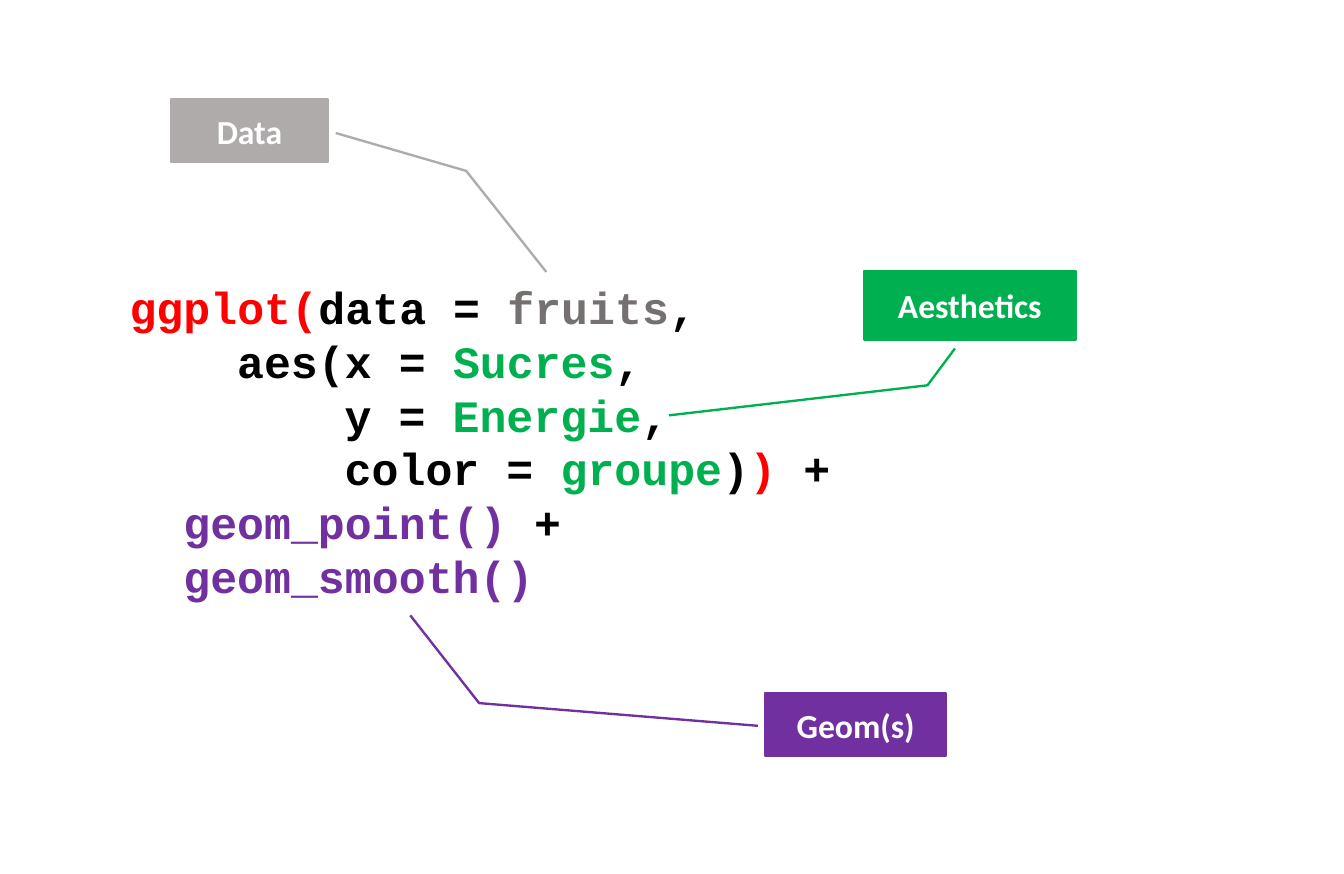
"""Build a slide that labels the data, aesthetics and geoms of a ggplot call."""
from dataclasses import dataclass

import pptx
import pptx.dml.color
import pptx.enum.shapes
import pptx.enum.text
import pptx.slide
import pptx.text.text
import pptx.util

SLIDE_WIDTH = pptx.util.Inches(7.87)
SLIDE_HEIGHT = pptx.util.Inches(5.12)
COLUMN = SLIDE_WIDTH / 100
ROW = SLIDE_HEIGHT / 100
CODE_SIZE = pptx.util.Pt(18.9)
LABEL_SIZE = pptx.util.Pt(14.2)
CHARACTER = CODE_SIZE * 0.6

COLORS = {
    "call": "FF0000",
    "plain": "000000",
    "fruits": "767171",
    "data": "AFABAB",
    "aesthetics": "00B050",
    "geoms": "7030A0",
    "label": "FFFFFF",
}


@dataclass(frozen=True)
class Area:
    column: float
    row: float
    columns: float
    rows: float

    def box(self) -> tuple[int, int, int, int]:
        return (round(self.column * COLUMN), round(self.row * ROW),
                round(self.columns * COLUMN), round(self.rows * ROW))


@dataclass(frozen=True)
class CodeLine:
    indent: int
    pieces: tuple[tuple[str, str], ...]


@dataclass(frozen=True)
class Callout:
    label: str
    color: str
    area: Area
    leader: tuple[tuple[float, float], ...]


CODE_AREA = Area(8.39, 31.05, 86.53, 39.26)
CODE = (
    CodeLine(0, (("ggplot(", "call"), ("data = ", "plain"),
                 ("fruits", "fruits"), (",", "plain"))),
    CodeLine(4, (("aes(x = ", "plain"), ("Sucres", "aesthetics"), (",", "plain"))),
    CodeLine(8, (("y = ", "plain"), ("Energie", "aesthetics"), (",", "plain"))),
    CodeLine(8, (("color = ", "plain"), ("groupe", "aesthetics"), (")", "plain"),
                 (")", "call"), (" +", "plain"))),
    CodeLine(2, (("geom_point() ", "geoms"), ("+", "plain"))),
    CodeLine(2, (("geom_smooth()", "geoms"),)),
)

CALLOUTS = (
    Callout("Data", "data", Area(12.71, 11.33, 11.69, 7.23),
            ((0.54, 1.05), (1.14, 1.88), (2.74, 2.39))),
    Callout("Aesthetics", "aesthetics", Area(64.29, 31.05, 15.76, 7.81),
            ((1.13, 0.43), (1.67, 0.3), (2.11, -0.92))),
    Callout("Geom(s)", "geoms", Area(56.93, 79.3, 13.47, 7.23),
            ((0.52, -0.04), (0.16, -1.58), (-1.23, -1.96))),
)


def rgb(color: str) -> pptx.dml.color.RGBColor:
    return pptx.dml.color.RGBColor.from_string(COLORS[color])


def style(font: pptx.text.text.Font, name: str, size: int, color: str) -> None:
    font.name = name
    font.size = size
    font.bold = True
    font.color.rgb = rgb(color)


def draw_code(slide: pptx.slide.Slide) -> None:
    code = slide.shapes.add_textbox(*CODE_AREA.box()).text_frame
    code.word_wrap = True
    code.text = "\n".join("" for _ in CODE)
    for paragraph, line in zip(code.paragraphs, CODE):
        properties = paragraph._p.get_or_add_pPr()
        properties.set("marL", str(round(line.indent * CHARACTER)))
        properties.set("indent", "0")
        for words, color in line.pieces:
            piece = paragraph.add_run()
            piece.text = words
            style(piece.font, "Courier New", CODE_SIZE, color)


def draw_callout(slide: pptx.slide.Slide, callout: Callout) -> None:
    flag = slide.shapes.add_shape(
        pptx.enum.shapes.MSO_SHAPE.LINE_CALLOUT_2, *callout.area.box())
    flag.shadow.inherit = False
    shares = (share for point in callout.leader for share in point)
    for index, share in enumerate(shares):
        flag.adjustments[index] = share
    flag.fill.solid()
    flag.fill.fore_color.rgb = rgb(callout.color)
    flag.line.color.rgb = rgb(callout.color)
    flag.line.width = pptx.util.Pt(1)
    flag.text_frame.text = callout.label
    flag.text_frame.vertical_anchor = pptx.enum.text.MSO_ANCHOR.MIDDLE
    label = flag.text_frame.paragraphs[0]
    label.alignment = pptx.enum.text.PP_ALIGN.CENTER
    style(label.runs[0].font, "Calibri", LABEL_SIZE, "label")


def main() -> None:
    deck = pptx.Presentation()
    deck.slide_width = SLIDE_WIDTH
    deck.slide_height = SLIDE_HEIGHT
    slide = deck.slides.add_slide(deck.slide_layouts[6])
    draw_code(slide)
    for callout in CALLOUTS:
        draw_callout(slide, callout)
    deck.save("out.pptx")


if __name__ == "__main__":
    main()
